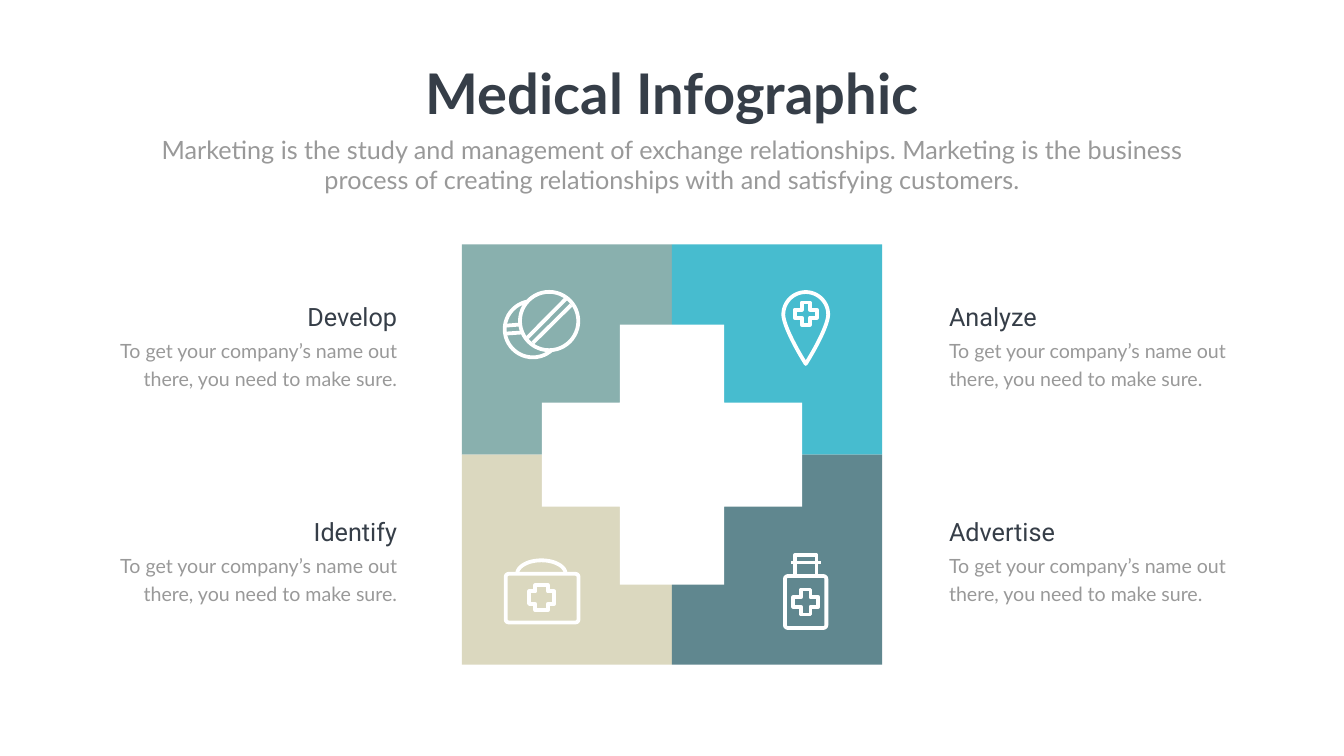
from dataclasses import dataclass
from math import cos, pi, sin

from lxml import etree
from pptx import Presentation
from pptx.dml.color import RGBColor
from pptx.enum.shapes import MSO_CONNECTOR, MSO_SHAPE
from pptx.enum.text import MSO_ANCHOR, MSO_AUTO_SIZE, PP_ALIGN
from pptx.oxml.ns import qn
from pptx.util import Cm, Pt

RECTANGLE = MSO_SHAPE.RECTANGLE
ROUNDED = MSO_SHAPE.ROUNDED_RECTANGLE
OVAL = MSO_SHAPE.OVAL
CROSS = MSO_SHAPE.CROSS
STRAIGHT = MSO_CONNECTOR.STRAIGHT
LEFT, CENTER, RIGHT = PP_ALIGN.LEFT, PP_ALIGN.CENTER, PP_ALIGN.RIGHT

WHITE, DARK, GRAY = "FFFFFF", "363E48", "999999"
CENTER_X, CENTER_Y, TILE = 33.86, 22.91, 10.59
STROKE = Pt(5.4)
BODY = "To get your company’s name out there, you need to make sure."
INTRO = (
    "Marketing is the study and management of exchange relationships. "
    "Marketing is the business process of creating relationships with "
    "and satisfying customers."
)


@dataclass
class Stage:
    heading: str
    color: str
    column: int
    row: int


@dataclass
class Style:
    size: float
    font: str
    color: str
    align: PP_ALIGN
    bold: bool = False
    spacing: float | None = None


STAGES = [
    Stage("Develop", "89B0AE", 0, 0),
    Stage("Analyze", "47BCCF", 1, 0),
    Stage("Identify", "DBD8BF", 0, 1),
    Stage("Advertise", "60878F", 1, 1),
]


def rgb(color: str) -> RGBColor:
    return RGBColor.from_string(color)


def paint(shape, fill: str | None = None, outlined: bool = False) -> None:
    shape.shadow.inherit = False
    if fill:
        shape.fill.solid()
        shape.fill.fore_color.rgb = rgb(fill)
    else:
        shape.fill.background()
    if outlined:
        stroke(shape.line)
    else:
        shape.line.fill.background()


def stroke(line) -> None:
    line.color.rgb = rgb(WHITE)
    line.width = STROKE
    etree.SubElement(line._get_or_add_ln(), qn("a:round"))


def add_block(slide, kind, left: float, top: float, width: float, height: float,
              fill: str | None = None, outlined: bool = True,
              adjustment: float | None = None) -> None:
    shape = slide.shapes.add_shape(kind, Cm(left), Cm(top), Cm(width), Cm(height))
    if adjustment is not None:
        shape.adjustments[0] = adjustment
    paint(shape, fill, outlined)


def add_circle(slide, x: float, y: float, radius: float, fill: str) -> None:
    add_block(slide, OVAL, x - radius, y - radius, 2 * radius, 2 * radius, fill)


def add_cross(slide, x: float, y: float, size: float, inset: float,
              fill: str | None = None) -> None:
    add_block(slide, CROSS, x - size / 2, y - size / 2, size, size, fill,
              outlined=fill is None, adjustment=inset)


def add_line(slide, x1: float, y1: float, x2: float, y2: float) -> None:
    connector = slide.shapes.add_connector(STRAIGHT, Cm(x1), Cm(y1), Cm(x2), Cm(y2))
    stroke(connector.line)
    etree.SubElement(connector._element.spPr, qn("a:effectLst"))


def add_outline(slide, points: list[tuple[float, float]], closed: bool) -> None:
    corners = [(Cm(x), Cm(y)) for x, y in points]
    builder = slide.shapes.build_freeform(*corners[0])
    builder.add_line_segments(corners[1:], close=closed)
    paint(builder.convert_to_shape(), outlined=True)


def upper_arc(x: float, y: float, radius_x: float, radius_y: float) -> list[tuple[float, float]]:
    angles = [pi * (1 - step / 32) for step in range(33)]
    return [(x + radius_x * cos(a), y - radius_y * sin(a)) for a in angles]


def draw_pills(slide, fill: str) -> None:
    add_circle(slide, 26.85, 16.59, 1.42, fill)
    add_line(slide, 25.5, 16.41, 26.14, 16.36)
    add_line(slide, 25.5, 16.81, 26.24, 16.76)
    add_circle(slide, 27.67, 16.18, 1.47, fill)
    add_line(slide, 26.57, 17.02, 28.5, 15.07)
    add_line(slide, 26.85, 17.28, 28.78, 15.37)


def draw_pin(slide) -> None:
    x, y, radius, tip = 40.6, 15.85, 1.13, 18.34
    side = []
    for step in range(1, 17):
        t = step / 16
        offset = radius * (1 - t) ** 3 + 3 * radius * t * (1 - t) ** 2 + 2.4 * t**2 * (1 - t)
        drop = 1.05 * t * (1 - t) ** 2 + 3.6 * t**2 * (1 - t) + (tip - y) * t**3
        side.append((offset, y + drop))
    right = [(x + offset, level) for offset, level in side]
    left = [(x - offset, level) for offset, level in reversed(side[:-1])]
    add_outline(slide, upper_arc(x, y, radius, radius) + right + left, True)
    add_cross(slide, x, 15.81, 1.12, 0.32)


def draw_kit(slide) -> None:
    add_outline(slide, upper_arc(27.28, 28.92, 1.22, 0.68), False)
    add_block(slide, ROUNDED, 25.48, 28.92, 3.67, 2.45, adjustment=0.06)
    add_cross(slide, 27.29, 30.12, 1.26, 0.25)


def draw_bottle(slide) -> None:
    add_block(slide, ROUNDED, 39.55, 29.03, 2.09, 2.62, adjustment=0.07)
    add_block(slide, RECTANGLE, 40.06, 27.98, 1.08, 1.05)
    add_line(slide, 39.85, 28.35, 41.35, 28.35)
    add_cross(slide, 40.6, 30.34, 1.26, 0.31)


def write(shape, text: str, style: Style, wrap: bool = True) -> None:
    frame = shape.text_frame
    frame.text = text
    frame.word_wrap = wrap
    frame.auto_size = MSO_AUTO_SIZE.NONE
    frame.vertical_anchor = MSO_ANCHOR.TOP
    paragraph = frame.paragraphs[0]
    paragraph.alignment = style.align
    if style.spacing:
        paragraph.line_spacing = Pt(style.spacing)
    font = paragraph.runs[0].font
    font.size, font.name, font.bold = Pt(style.size), style.font, style.bold
    font.color.rgb = rgb(style.color)


def add_text(slide, text: str, left: float, top: float, width: float, height: float,
             style: Style) -> None:
    box = slide.shapes.add_textbox(Cm(left), Cm(top), Cm(width), Cm(height))
    write(box, text, style)


def add_stage(slide, stage: Stage) -> None:
    left = CENTER_X + (stage.column - 1) * TILE
    top = CENTER_Y + (stage.row - 1) * TILE
    add_block(slide, RECTANGLE, left, top, TILE, TILE, stage.color, outlined=False)
    text_left = 47.57 if stage.column else 4.72
    text_top = 15.04 + 10.84 * stage.row
    align = LEFT if stage.column else RIGHT
    add_text(slide, stage.heading, text_left, text_top, 15.54, 1.8,
             Style(36, "Roboto", DARK, align))
    add_text(slide, BODY, text_left, text_top + 1.64, 15.54, 3.02,
             Style(28, "Lato", GRAY, align, spacing=40.8))


def main() -> None:
    presentation = Presentation()
    presentation.slide_width, presentation.slide_height = Cm(67.72), Cm(38.1)
    slide = presentation.slides.add_slide(presentation.slide_layouts[5])
    title = slide.shapes.title
    title.left, title.top, title.width, title.height = Cm(20.93), Cm(2.84), Cm(25.88), Cm(3.68)
    write(title, "Medical Infographic", Style(80, "Lato", DARK, CENTER, bold=True), wrap=False)
    add_text(slide, INTRO, 7.42, 6.63, 52.88, 3.33, Style(36, "Lato", GRAY, CENTER))
    for stage in STAGES:
        add_stage(slide, stage)
    add_cross(slide, CENTER_X, CENTER_Y, 13.11, 0.3, WHITE)
    draw_pills(slide, STAGES[0].color)
    draw_pin(slide)
    draw_kit(slide)
    draw_bottle(slide)
    presentation.save("out.pptx")


if __name__ == "__main__":
    main()
